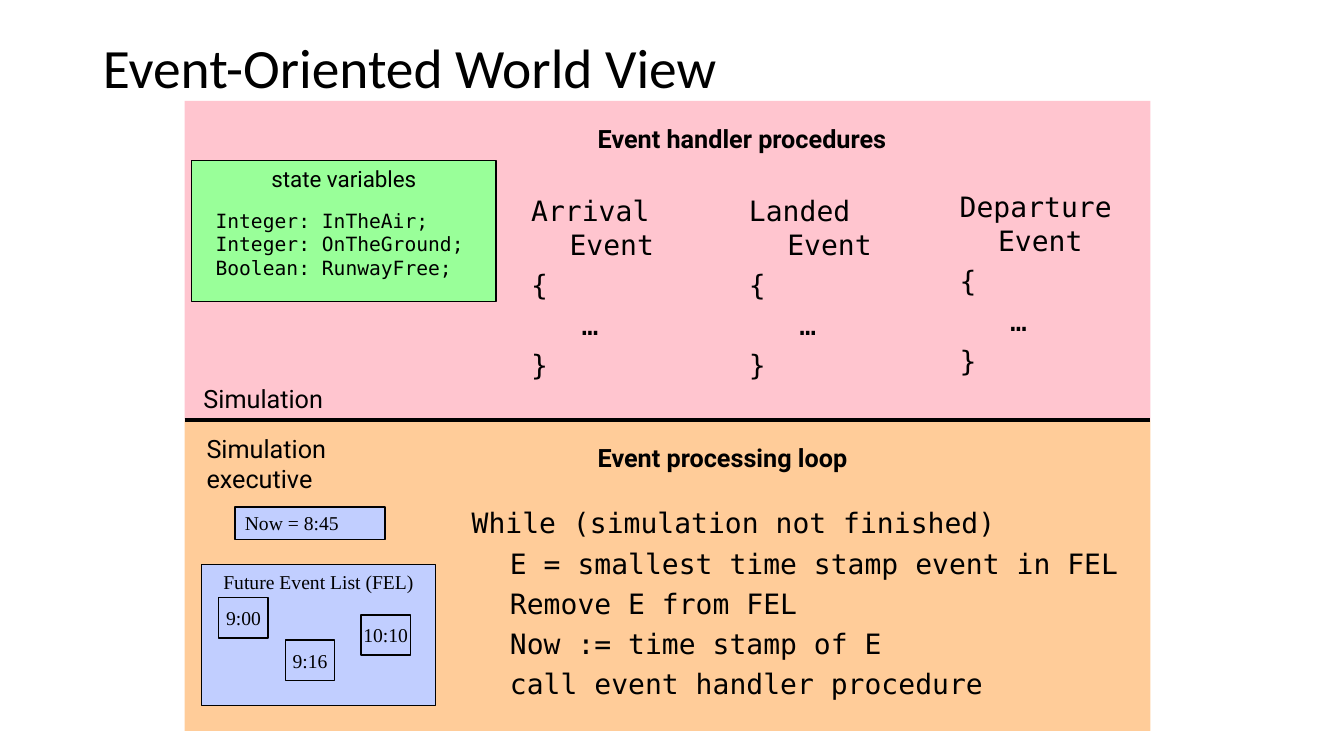
import pptx
import pptx.util
import pptx.dml.color
import pptx.enum.shapes
import pptx.enum.text
import pptx.oxml.ns
import lxml.etree

Inches = pptx.util.Inches
Pt = pptx.util.Pt
ALIGN = pptx.enum.text.PP_ALIGN
ANCHOR = pptx.enum.text.MSO_ANCHOR
SHAPE = pptx.enum.shapes.MSO_SHAPE

COLORS = {"ink": "000000", "pink": "FFC5CF", "green": "99FF99",
          "orange": "FFCC99", "blue": "C1CEFF"}
SANS, MONO, SERIF = "Roboto", "DejaVu Sans Mono", "Times New Roman"


def color(name):
    return pptx.dml.color.RGBColor.from_string(COLORS[name])


def style(para, font, size, bold=False):
    for run in para.runs:
        run.font.name = font
        run.font.size = Pt(size)
        run.font.bold = bold
        run.font.color.rgb = color("ink")


def indent(para, left, first):
    props = para._p.get_or_add_pPr()
    props.set("marL", str(Inches(left)))
    props.set("indent", str(Inches(first)))


def rect(shapes, x, y, w, h, fill, text="", font=SERIF, size=14,
         align=ALIGN.CENTER, anchor=ANCHOR.MIDDLE, border=True):
    box = shapes.add_shape(SHAPE.RECTANGLE, Inches(x), Inches(y),
                           Inches(w), Inches(h))
    box.shadow.inherit = False
    box.fill.solid()
    box.fill.fore_color.rgb = color(fill)
    if border:
        box.line.color.rgb = color("ink")
        box.line.width = Pt(1)
    else:
        box.line.fill.background()
    if text:
        frame = box.text_frame
        frame.text = text
        frame.word_wrap = align == ALIGN.LEFT
        frame.vertical_anchor = anchor
        frame.paragraphs[0].alignment = align
        style(frame.paragraphs[0], font, size)


def label(shapes, x, y, w, h, text, font=SANS, size=18, bold=False, wrap=True):
    box = shapes.add_textbox(Inches(x), Inches(y), Inches(w), Inches(h))
    frame = box.text_frame
    frame.text = text
    frame.word_wrap = wrap
    for para in frame.paragraphs:
        style(para, font, size, bold)
    return frame


def heading(shapes, x, y, text):
    frame = label(shapes, x, y, 4.83, 0.4, text, bold=True)
    indent(frame.paragraphs[0], 0.81, -0.31)


def code(shapes, x, y, w, h, lines):
    """Each line is its text, left margin and first-line indent."""
    text = "\n".join(line[0] for line in lines)
    frame = label(shapes, x, y, w, h, text, MONO, 20)
    for para, (_, left, first) in zip(frame.paragraphs, lines):
        indent(para, left, first)
        para.space_before = Pt(4.6)


def title(slide, x, y, w, h):
    head = slide.shapes.title
    head.left, head.top = Inches(x), Inches(y)
    head.width, head.height = Inches(w), Inches(h)
    frame = head.text_frame
    frame.text = "Event-Oriented World View"
    frame.auto_size = pptx.enum.text.MSO_AUTO_SIZE.NONE
    frame.vertical_anchor = ANCHOR.MIDDLE
    para = frame.paragraphs[0]
    para.alignment = ALIGN.LEFT
    para.line_spacing = 0.9
    style(para, "Calibri", 39.6)


def upper(slide, x, y, w, h):
    shapes = slide.shapes.add_group_shape().shapes
    rect(shapes, x, y, w, h, "pink", border=False)

    # State variables
    rect(shapes, x + 0.07, y + 0.59, 3.02, 1.4, "green", "state variables",
         SANS, 16, anchor=ANCHOR.TOP)
    label(shapes, x + 0.21, y + 1.02, 2.67, 0.81,
          "Integer: InTheAir;\nInteger: OnTheGround;\nBoolean: RunwayFree;",
          MONO, 14, wrap=False)

    # Event handlers
    heading(shapes, x + 3.5, y + 0.17, "Event handler procedures")
    label(shapes, x + 0.09, y + 2.75, 2.63, 0.4, "Simulation")
    for name, dx, dy, wide in (("Arrival", 3.34, 0.87, 1.92),
                               ("Landed", 5.5, 0.87, 1.75),
                               ("Departure", 7.59, 0.83, 1.75)):
        code(shapes, x + dx, y + dy, wide, 1.98,
             [(name + " Event", 0.38, -0.38), ("{", 0.38, -0.38),
              ("…", 0.5, 0), ("}", 0.38, -0.38)])


def lower(slide, x, y, w, h):
    shapes = slide.shapes.add_group_shape().shapes
    rect(shapes, x, y, w, h, "orange", border=False)

    # Future event list and clock
    rect(shapes, x + 0.17, y + 1.43, 2.32, 1.4, "blue",
         "Future Event List (FEL)", anchor=ANCHOR.TOP)
    for time, dx, dy in (("9:00", 0.34, 1.76), ("9:16", 1, 2.18),
                         ("10:10", 1.75, 1.93)):
        rect(shapes, x + dx, y + dy, 0.49, 0.4, "blue", time)
    rect(shapes, x + 0.5, y + 0.86, 1.49, 0.32, "blue", "Now = 8:45",
         align=ALIGN.LEFT)

    # Divider along the top edge
    line = shapes.add_connector(pptx.enum.shapes.MSO_CONNECTOR.STRAIGHT,
                                Inches(x), Inches(y), Inches(x + w), Inches(y))
    line.line.color.rgb = color("ink")
    line.line.width = Pt(3)
    lxml.etree.SubElement(line._element.spPr,
                          pptx.oxml.ns.qn("a:effectLst"))

    # Processing loop
    label(shapes, x + 0.12, y + 0.08, 2.49, 0.4, "Simulation executive",
          wrap=False)
    heading(shapes, x + 3.5, y + 0.17, "Event processing loop")
    steps = ["E = smallest time stamp event in FEL", "Remove E from FEL",
             "Now := time stamp of E", "call event handler procedure"]
    code(shapes, x + 2.75, y + 0.8, 6.67, 2.05,
         [("While (simulation not finished)", 0.38, -0.38)]
         + [(step, 0.38, 0) for step in steps])


def main():
    deck = pptx.Presentation()
    deck.slide_width, deck.slide_height = Inches(13.33), Inches(7.5)
    slide = deck.slides.add_slide(deck.slide_layouts[5])
    title(slide, 0.92, 0.4, 11.5, 0.59)
    upper(slide, 1.83, 1, 9.58, 3.17)
    lower(slide, 1.83, 4.17, 9.58, 3.08)
    deck.save("out.pptx")


if __name__ == "__main__":
    main()
